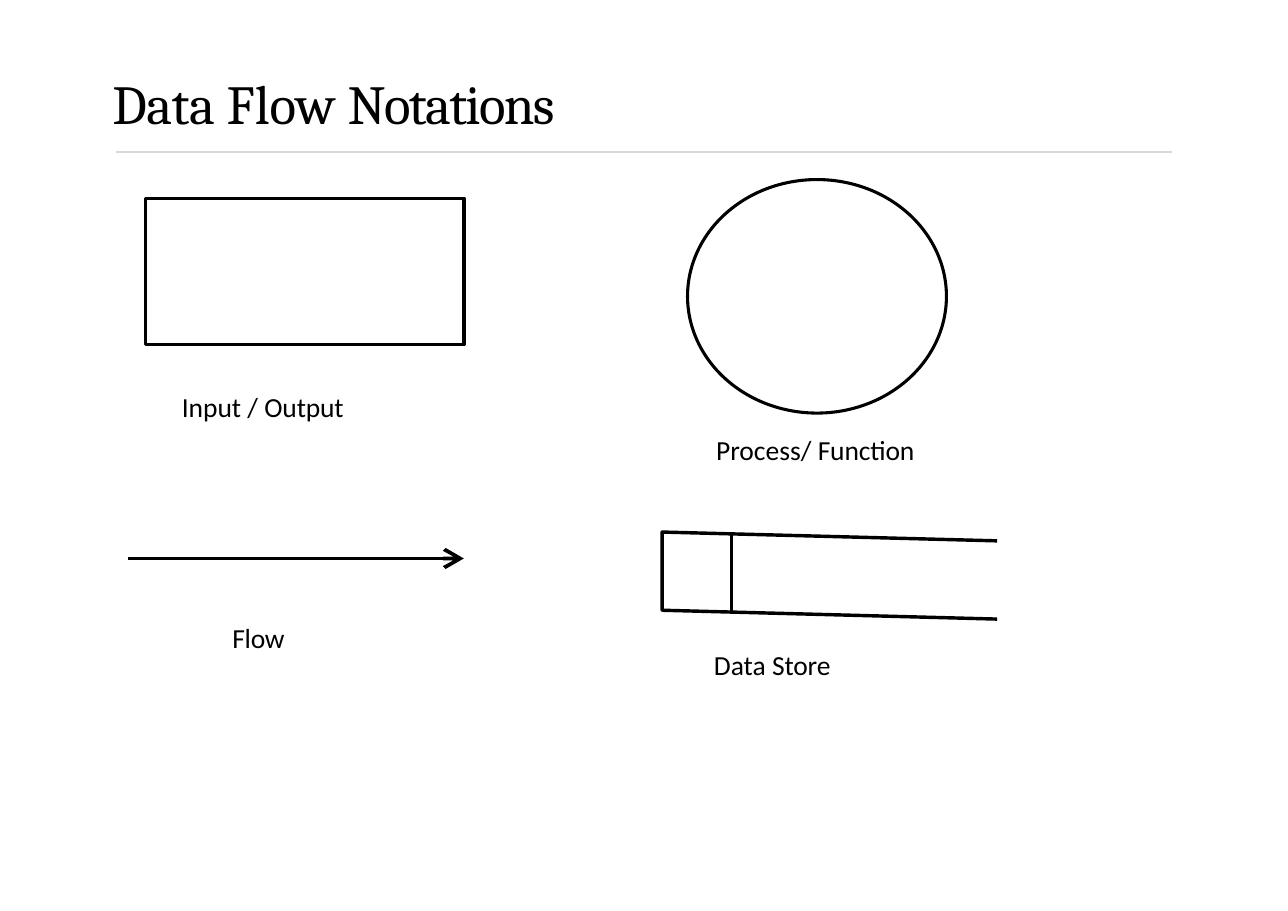
from lxml.etree import SubElement
from pptx import Presentation
from pptx.dml.color import RGBColor
from pptx.enum.shapes import MSO_CONNECTOR, MSO_SHAPE
from pptx.enum.text import MSO_ANCHOR
from pptx.oxml.ns import qn
from pptx.util import Pt

PX = 9144  # 100 px to the inch
BLACK, GREY = "000000", "D8D8D8"


def color(value):
    return RGBColor.from_string(value)


def stroke(item, value=BLACK, width=2.25):
    item.line.color.rgb = color(value)
    item.line.width = Pt(width)


def add_text(page, box, spans, font="Calibri", size=18, before=1):
    """Write one line made of (text, letter spacing in points) spans."""
    frame = page.shapes.add_textbox(*(n * PX for n in box)).text_frame
    frame.margin_left = frame.margin_right = frame.margin_bottom = 0
    frame.margin_top = PX
    frame.word_wrap = True
    frame.vertical_anchor = MSO_ANCHOR.TOP
    para = frame.paragraphs[0]
    para.space_before = Pt(before)
    for text, spacing in spans:
        span = para.add_run()
        span.text = text
        span.font.name = font
        span.font.size = Pt(size)
        span.font.color.rgb = color(BLACK)
        span._r.get_or_add_rPr().set("spc", str(round(spacing * 100)))


def add_line(page, start, end, value=BLACK, width=2.25, arrow=False):
    ends = (n * PX for n in (*start, *end))
    line = page.shapes.add_connector(MSO_CONNECTOR.STRAIGHT, *ends)
    stroke(line, value, width)
    if arrow:
        SubElement(line.line._get_or_add_ln(), qn("a:tailEnd"),
                   type="arrow", w="lg", len="lg")
    SubElement(line._element.spPr, qn("a:effectLst"))


def add_outline(page, kind, box, width=2.25):
    shape = page.shapes.add_shape(kind, *(n * PX for n in box))
    shape.shadow.inherit = False
    shape.fill.background()
    stroke(shape, width=width)


# Title with the rule beneath it
def add_heading(page, box):
    left, top, width, height = box
    add_text(page, (left, top, width, height - 12),
             [("Data ", -0.3), ("Flow ", 0), ("Notations", -1.1)],
             font="Cambria", size=36)
    rule = top + height
    add_line(page, (left + 3, rule), (left + width, rule), GREY, 1.5)


# Rectangle: a source or sink of data
def add_input_output(page, box):
    left, top, width, height = box
    add_outline(page, MSO_SHAPE.RECTANGLE, box)
    add_text(page, (left + 33, top + height + 40, 160, 33),
             [("Input / ", 0), ("Output", -0.1)])


# Ellipse: a process
def add_process(page, box):
    left, top, width, height = box
    add_outline(page, MSO_SHAPE.OVAL, box, 2)
    add_text(page, (left + 26, top + height + 17, 200, 33),
             [("Process/ ", 0), ("Function", -0.1)])


# Arrow: a flow of data
def add_flow(page, box):
    left, top, width, height = box
    middle = top + height // 2
    add_line(page, (left, middle), (left + width, middle),
             width=2.5, arrow=True)
    add_text(page, (left + 95, top + height + 48, 80, 33), [("Flow", -0.2)])


# Open-ended bar with a divider: a data store
def add_data_store(page, box, drop=8, divider=63):
    left, top, width, height = box
    right, bottom = left + width, top + height
    builder = page.shapes.build_freeform(right, top + drop, scale=PX)
    builder.add_line_segments(
        [(left, top), (left, bottom), (right, bottom + drop)], close=False)
    bar = builder.convert_to_shape()
    bar.shadow.inherit = False
    bar.fill.background()
    stroke(bar)
    shift = round(drop * divider / width)
    add_line(page, (left + divider, top + shift),
             (left + divider, bottom + shift))
    add_text(page, (left + 47, bottom + 33, 130, 33),
             [("Data ", 0), ("Store", -0.1)])


def main():
    deck = Presentation()
    deck.slide_width, deck.slide_height = 1169 * PX, 827 * PX
    page = deck.slides.add_slide(deck.slide_layouts[6])
    add_heading(page, (102, 62, 962, 76))
    add_input_output(page, (132, 180, 289, 133))
    add_process(page, (624, 163, 235, 212))
    add_flow(page, (116, 500, 305, 15))
    add_data_store(page, (601, 483, 304, 71))
    deck.save("out.pptx")


if __name__ == "__main__":
    main()
